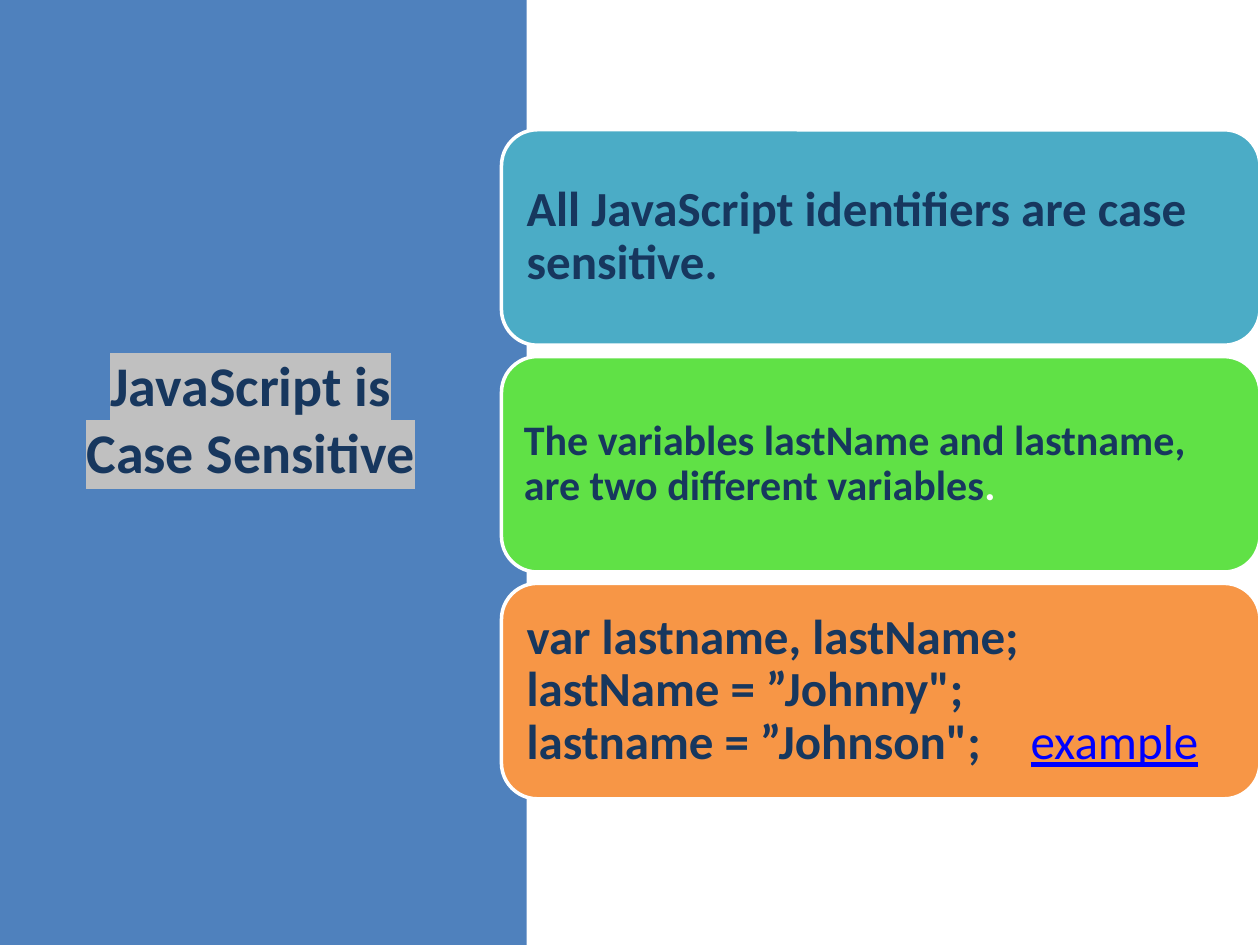
from dataclasses import dataclass

from lxml import etree
from pptx import Presentation
from pptx import util as u
from pptx.dml.color import RGBColor
from pptx.enum import shapes, text
from pptx.oxml import ns

WHITE = RGBColor(0xFF, 0xFF, 0xFF)
NAVY = RGBColor(0x17, 0x37, 0x5E)
BLUE = RGBColor(0x4F, 0x81, 0xBD)
TEAL = RGBColor(0x4B, 0xAC, 0xC6)
GREEN = RGBColor(0x60, 0xE1, 0x46)
ORANGE = RGBColor(0xF7, 0x96, 0x46)
LINK_BLUE = RGBColor(0x00, 0x00, 0xFF)
SILVER = RGBColor(0xC0, 0xC0, 0xC0)

SLIDE_WIDTH, SLIDE_HEIGHT = 10, 7.5
PANEL_SHARE = 0.418
CARD_LEFT, CARD_TOP = 3.98, 1.03
CARD_WIDTH, CARD_HEIGHT = SLIDE_WIDTH - CARD_LEFT, 1.71
ROW_PITCH = 1.8
TEXT_INSET = 0.08


@dataclass(frozen=True)
class Span:
    words: str
    color: RGBColor = NAVY
    bold: bool = True
    underline: bool = False


@dataclass(frozen=True)
class Card:
    fill: RGBColor
    size: int
    margin: float
    lines: tuple[tuple[Span, ...], ...]


CARDS = (
    Card(TEAL, 28, 0.12, ((Span("All JavaScript identifiers are case sensitive."),),)),
    Card(GREEN, 24, 0.1, ((
        Span("The variables lastName and lastname, are two different variables"),
        Span(".", WHITE),
    ),)),
    Card(ORANGE, 28, 0.12, (
        (Span("var lastname, lastName;"),),
        (Span('lastName = ”Johnny";'),),
        (Span('lastname = ”Johnson";\t'), Span("example", LINK_BLUE, False, True)),
    )),
)


def add_block(slide, kind, box: tuple[float, ...], fill: RGBColor):
    shape = slide.shapes.add_shape(kind, *map(u.Inches, box))
    shape.shadow.inherit = False
    shape.fill.solid()
    shape.fill.fore_color.rgb = fill
    shape.line.fill.background()
    return shape


def add_text_frame(slide, box: tuple[float, ...], margins: tuple[float, ...]):
    frame = slide.shapes.add_textbox(*map(u.Inches, box)).text_frame
    left, top, right, bottom = map(u.Inches, margins)
    settings = {
        "word_wrap": True,
        "vertical_anchor": text.MSO_ANCHOR.MIDDLE,
        "margin_left": left,
        "margin_top": top,
        "margin_right": right,
        "margin_bottom": bottom,
    }
    for name, value in settings.items():
        setattr(frame, name, value)
    return frame


def add_span(paragraph, span: Span, size: int):
    run = paragraph.add_run()
    run.text = span.words
    settings = {
        "name": "Calibri",
        "size": u.Pt(size),
        "bold": span.bold,
        "underline": span.underline,
    }
    for name, value in settings.items():
        setattr(run.font, name, value)
    run.font.color.rgb = span.color
    return run


def highlight(run, color: RGBColor) -> None:
    marker = etree.Element(ns.qn("a:highlight"))
    etree.SubElement(marker, ns.qn("a:srgbClr"), val=str(color))
    properties = run.font._element
    properties.find(ns.qn("a:solidFill")).addnext(marker)


def add_title(slide) -> None:
    frame = add_text_frame(slide, (0.43, 0.68, 3.12, 6.02), (0.1, 0.05, 0.1, 0.8))
    paragraph = frame.paragraphs[0]
    paragraph.alignment = text.PP_ALIGN.CENTER
    highlight(add_span(paragraph, Span("JavaScript is Case Sensitive"), 32), SILVER)


def add_card(slide, card: Card, row: int) -> None:
    top = CARD_TOP + row * ROW_PITCH
    shape = add_block(
        slide,
        shapes.MSO_SHAPE.ROUNDED_RECTANGLE,
        (CARD_LEFT, top, CARD_WIDTH, CARD_HEIGHT),
        card.fill,
    )
    shape.line.color.rgb = WHITE
    shape.line.width = u.Pt(2)
    text_box = (
        CARD_LEFT + TEXT_INSET,
        top + TEXT_INSET,
        CARD_WIDTH - 2 * TEXT_INSET,
        CARD_HEIGHT - 2 * TEXT_INSET,
    )
    paragraph = add_text_frame(slide, text_box, (card.margin,) * 4).paragraphs[0]
    paragraph.line_spacing = 0.9
    for index, line in enumerate(card.lines):
        if index:
            paragraph.add_line_break()
        for span in line:
            add_span(paragraph, span, card.size)


def main() -> None:
    presentation = Presentation()
    presentation.slide_width = u.Inches(SLIDE_WIDTH)
    presentation.slide_height = u.Inches(SLIDE_HEIGHT)
    slide = presentation.slides.add_slide(presentation.slide_layouts[6])
    panel = (0, 0, PANEL_SHARE * SLIDE_WIDTH, SLIDE_HEIGHT)
    add_block(slide, shapes.MSO_SHAPE.RECTANGLE, panel, BLUE)
    add_title(slide)
    for row, card in enumerate(CARDS):
        add_card(slide, card, row)
    presentation.save("out.pptx")


if __name__ == "__main__":
    main()
